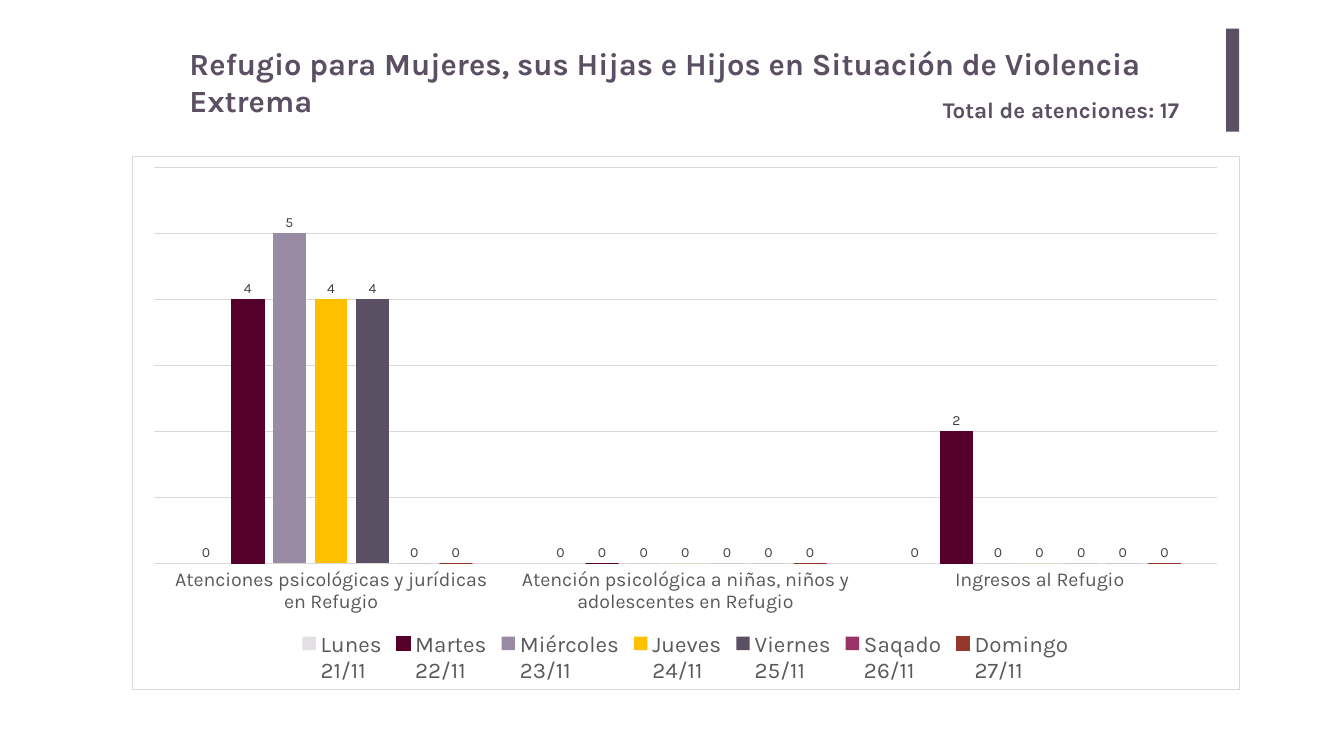
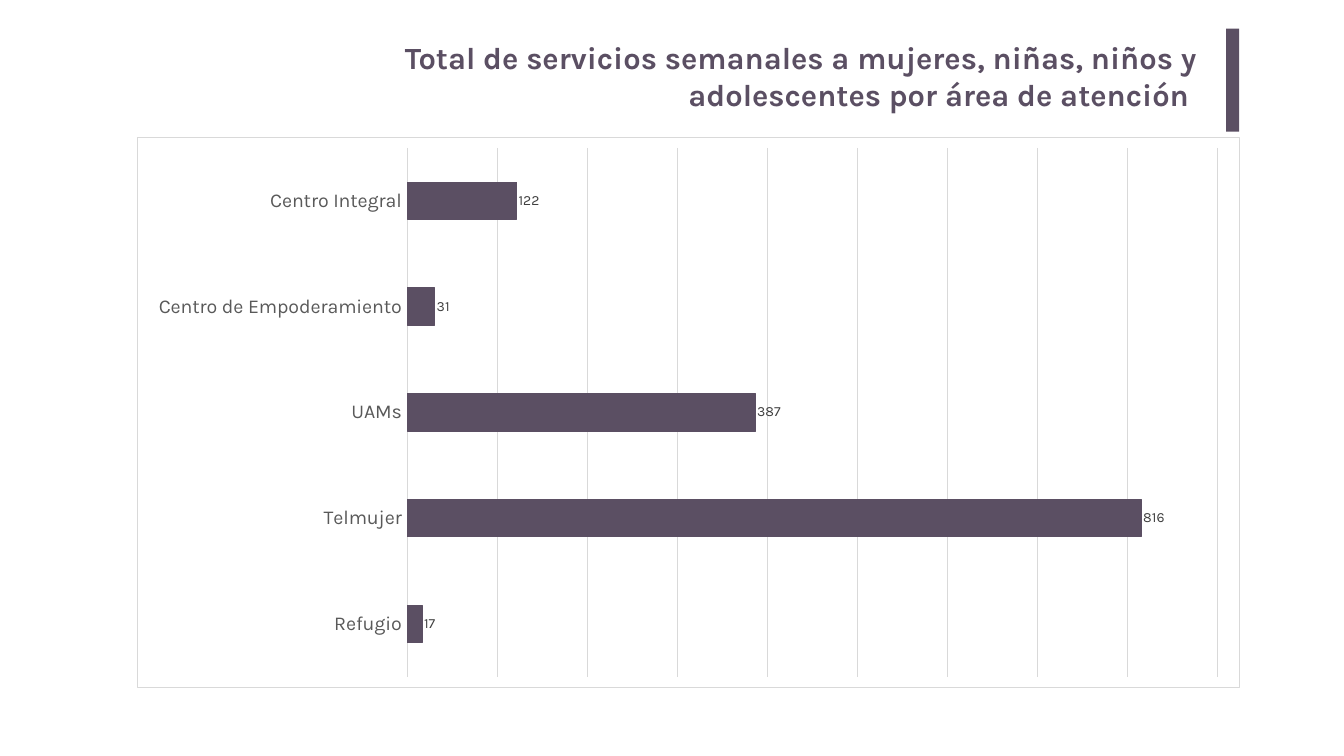
from lxml import etree
from pptx import Presentation
from pptx.chart.data import CategoryChartData
from pptx.dml.color import RGBColor
from pptx.enum.chart import XL_CHART_TYPE, XL_LABEL_POSITION, XL_LEGEND_POSITION, XL_TICK_LABEL_POSITION, XL_TICK_MARK
from pptx.enum.shapes import MSO_SHAPE
from pptx.enum.text import MSO_ANCHOR, MSO_AUTO_SIZE, PP_ALIGN
from pptx.oxml import parse_xml
from pptx.oxml.ns import nsdecls, qn
from pptx.util import Inches, Pt

COLUMNS, BARS = XL_CHART_TYPE.COLUMN_CLUSTERED, XL_CHART_TYPE.BAR_CLUSTERED
OUTSIDE_END = XL_LABEL_POSITION.OUTSIDE_END
LEGEND_BOTTOM = XL_LEGEND_POSITION.BOTTOM
LABELS_LOW = XL_TICK_LABEL_POSITION.LOW
NO_TICK = XL_TICK_MARK.NONE
RECTANGLE = MSO_SHAPE.RECTANGLE
TOP = MSO_ANCHOR.TOP
NO_FIT = MSO_AUTO_SIZE.NONE
LEFT, RIGHT = PP_ALIGN.LEFT, PP_ALIGN.RIGHT

FONT = "Karla"
PURPLE = RGBColor(0x5B, 0x4F, 0x63)
LILAC = RGBColor(0x99, 0x8B, 0xA3)
PALE = RGBColor(0xE3, 0xDF, 0xE5)
WINE = RGBColor(0x54, 0x00, 0x2A)
YELLOW = RGBColor(0xFF, 0xC0, 0x00)
MAGENTA = RGBColor(0x99, 0x33, 0x66)
BRICK = RGBColor(0x95, 0x37, 0x2B)
WHITE = RGBColor(0xFF, 0xFF, 0xFF)
GRID = RGBColor(0xD9, 0xD9, 0xD9)
AXIS_TEXT = RGBColor(0x59, 0x59, 0x59)
LABEL_TEXT = RGBColor(0x40, 0x40, 0x40)
THIN = Pt(0.75)

DAYS = [
    ("Lunes\n21/11", (0, 0, 0), PALE, False),
    ("Martes\n22/11", (4, 0, 2), WINE, True),
    ("Miércoles\n23/11", (5, 0, 0), LILAC, False),
    ("Jueves\n24/11", (4, 0, 0), YELLOW, False),
    ("Viernes\n25/11", (4, 0, 0), PURPLE, False),
    ("Saqado\n26/11", (0, 0, 0), MAGENTA, False),
    ("Domingo\n27/11", (0, 0, 0), BRICK, True),
]
SHELTER_SERVICES = [
    "Atenciones psicológicas y jurídicas en Refugio",
    "Atención psicológica a niñas, niños y adolescentes en Refugio",
    "Ingresos al Refugio",
]
AREAS = {"Centro Integral": 122, "Centro de Empoderamiento": 31, "UAMs": 387,
         "Telmujer": 816, "Refugio": 17}


def set_font(font, size, color, bold=False):
    font.name = FONT
    font.size = Pt(size)
    font.bold = bold
    font.color.rgb = color


def write_text(sp, text, size=44, color=PURPLE, align=LEFT, inset=0.1):
    tf = sp.text_frame
    tf.word_wrap = True
    tf.auto_size = NO_FIT
    tf.vertical_anchor = TOP
    tf.margin_left = tf.margin_right = Inches(inset)
    tf.margin_top = tf.margin_bottom = Inches(inset / 2)
    p = tf.paragraphs[0]
    p.alignment = align
    r = p.add_run()
    r.text = text
    set_font(r.font, size, color, bold=True)


def add_titled_slide(prs, title, box, **text_format):
    slide = prs.slides.add_slide(prs.slide_layouts[5])
    sp = slide.shapes.title
    sp.left, sp.top, sp.width, sp.height = map(Inches, box)
    write_text(sp, title, **text_format)
    band = slide.shapes.add_shape(RECTANGLE, Inches(24.33), Inches(0.57), Inches(0.26), Inches(2.04))
    band.shadow.inherit = False
    band.fill.solid()
    band.fill.fore_color.rgb = PURPLE
    band.line.fill.background()
    return slide


def style_line(line, color):
    line.color.rgb = color
    line.width = THIN


def frame_chart(chart):
    frame = parse_xml(
        f'<c:spPr {nsdecls("c", "a")}><a:solidFill><a:srgbClr val="{WHITE}"/></a:solidFill>'
        f'<a:ln w="{THIN}"><a:solidFill><a:srgbClr val="{GRID}"/></a:solidFill></a:ln></c:spPr>')
    space = chart.element
    rounded = space.find(qn("c:roundedCorners"))
    if rounded is None:
        rounded = etree.Element(qn("c:roundedCorners"))
        date = space.find(qn("c:date1904"))
        if date is None:
            space.insert(0, rounded)
        else:
            date.addnext(rounded)
    rounded.set("val", "0")
    space.find(qn("c:chart")).addnext(frame)


def style_axes(chart, maximum, step):
    cat = chart.category_axis
    cat.major_tick_mark = cat.minor_tick_mark = NO_TICK
    cat.tick_label_position = LABELS_LOW
    cat.has_major_gridlines = False
    set_font(cat.tick_labels.font, 28, AXIS_TEXT)
    style_line(cat.format.line, GRID)
    val = chart.value_axis
    val.visible = False
    val.minimum_scale, val.maximum_scale, val.major_unit = 0, maximum, step
    val.has_major_gridlines = True
    style_line(val.major_gridlines.format.line, GRID)


def style_series(series, color, outlined):
    series.invert_if_negative = False
    series.format.fill.solid()
    series.format.fill.fore_color.rgb = color
    if outlined:
        style_line(series.format.line, color)
    else:
        series.format.line.fill.background()
    labels = series.data_labels
    labels.show_value = True
    labels.position = OUTSIDE_END
    set_font(labels.font, 20, LABEL_TEXT)


def add_bar_chart(slide, kind, box, categories, rows, maximum, step, gap, overlap=0):
    data = CategoryChartData()
    data.categories = categories
    for name, values, _, _ in rows:
        data.add_series(name, values)
    chart = slide.shapes.add_chart(kind, *map(Inches, box), data).chart
    chart.has_title = False
    chart.has_legend = False
    chart.font.name = FONT
    chart.font.size = Pt(10)
    frame_chart(chart)
    style_axes(chart, maximum, step)
    plot = chart.plots[0]
    plot.vary_by_categories = False
    plot.gap_width = gap
    plot.overlap = overlap
    for series, (_, _, color, outlined) in zip(plot.series, rows):
        style_series(series, color, outlined)
    return chart


def add_legend(chart):
    chart.has_legend = True
    chart.legend.position = LEGEND_BOTTOM
    chart.legend.include_in_layout = False
    set_font(chart.legend.font, 32, AXIS_TEXT)


def build_shelter_slide(prs):
    slide = add_titled_slide(
        prs, "Refugio para Mujeres, sus Hijas e Hijos en Situación de Violencia Extrema",
        (3.66, 0.84, 20.73, 0.84))
    total = slide.shapes.add_textbox(Inches(18.61), Inches(1.85), Inches(5.35), Inches(0.64))
    write_text(total, "Total de atenciones: 17", size=32)
    chart = add_bar_chart(slide, COLUMNS, (2.61, 3.1, 21.98, 10.58), SHELTER_SERVICES, DAYS,
                          maximum=6, step=1, gap=219, overlap=-27)
    add_legend(chart)


def build_areas_slide(prs):
    slide = add_titled_slide(
        prs, "Total de servicios semanales a mujeres, niñas, niños y adolescentes por área de atención ",
        (6.56, 0.67, 17.4, 2.04), align=RIGHT, inset=0.2)
    rows = [("Servicios", tuple(AREAS.values()), PURPLE, True)]
    chart = add_bar_chart(slide, BARS, (2.71, 2.71, 21.88, 10.94), list(AREAS), rows,
                          maximum=900, step=100, gap=182)
    chart.category_axis.reverse_order = True


def main():
    prs = Presentation()
    prs.slide_width, prs.slide_height = Inches(26.67), Inches(15)
    build_shelter_slide(prs)
    build_areas_slide(prs)
    prs.save("out.pptx")


if __name__ == "__main__":
    main()
